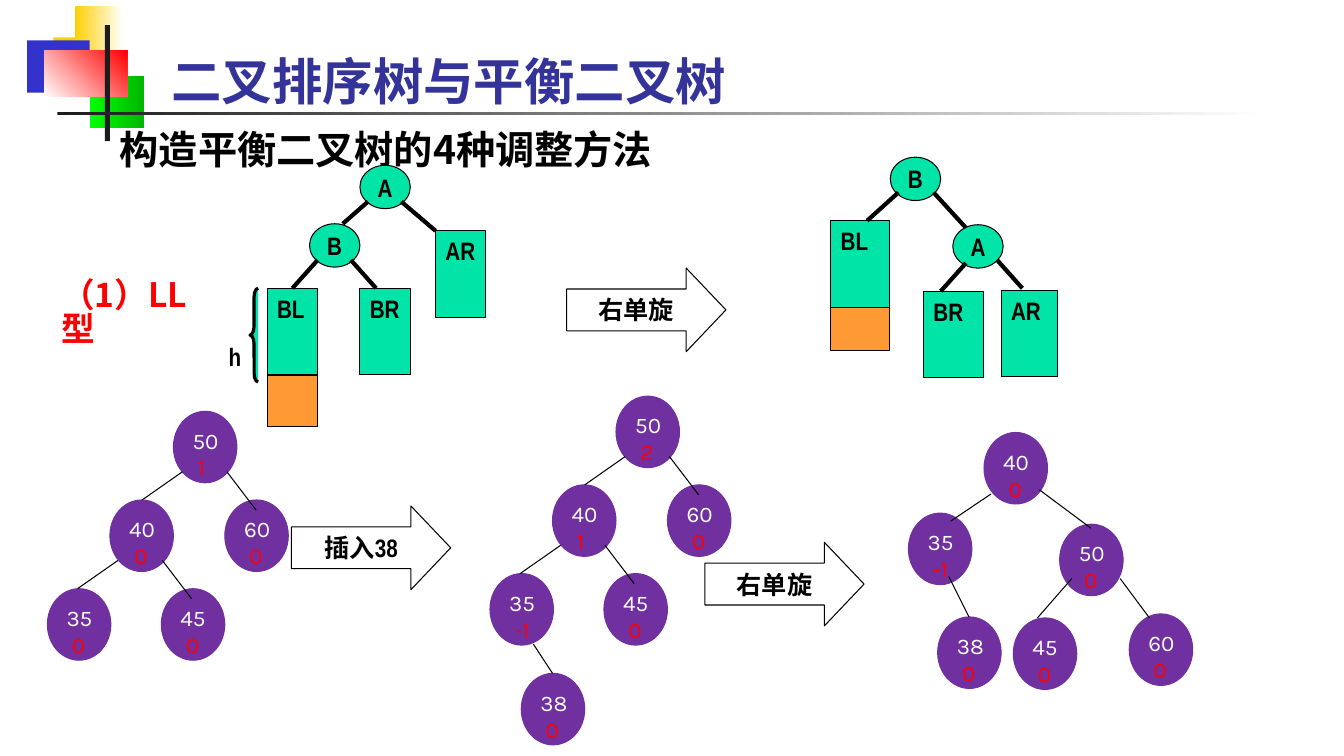
from lxml import etree
from pptx import Presentation
from pptx.dml.color import RGBColor
from pptx.enum.shapes import MSO_CONNECTOR as LINK, MSO_SHAPE as FORM
from pptx.enum.text import MSO_ANCHOR as ANCHOR, PP_ALIGN as ALIGN
from pptx.oxml.ns import qn
from pptx.util import Inches, Pt

BLACK = RGBColor(0x00, 0x00, 0x00)
WHITE = RGBColor(0xFF, 0xFF, 0xFF)
INK = RGBColor(0x1C, 0x1C, 0x1C)
NAVY = RGBColor(0x33, 0x33, 0x99)
BLUE = RGBColor(0x33, 0x33, 0xCC)
GOLD = RGBColor(0xFF, 0xCF, 0x01)
RED = RGBColor(0xFF, 0x00, 0x00)
LIME = RGBColor(0x00, 0xFF, 0x00)
GREEN = RGBColor(0x00, 0xB6, 0x00)
MINT = RGBColor(0x00, 0xE4, 0xA8)
ORANGE = RGBColor(0xFF, 0x99, 0x33)
PURPLE = RGBColor(0x70, 0x30, 0xA0)
NARROW, HAN, KARLA = "Arial Narrow", "Noto Sans CJK SC", "Karla"

# Content: places are left, top, width, height; links are x1, y1, x2, y2
TITLE = "二叉排序树与平衡二叉树"
HEADING = "构造平衡二叉树的4种调整方法"
CASE = "（1）LL型"

# Place, colour, end colour of a gradient, angle
DECOR = [
    ((0.53, 0.37, 0.64, 0.52), GOLD, None, 0),
    ((0.74, 0.06, 0.48, 0.52), GOLD, WHITE, 0),
    ((0.27, 0.4, 0.62, 0.52), BLUE, None, 0),
    ((0.89, 0.75, 0.54, 0.52), LIME, GREEN, 0),
    ((0.44, 0.5, 0.82, 0.46), WHITE, RED, 45),
    ((1.04, 0.25, 0.05, 1.15), INK, None, 0),
    ((0.57, 1.11, 12, 0.03), INK, WHITE, 0),
]

ARROWS = [("右单旋", 5.62, 2.66), ("插入38", 2.89, 5.02), ("右单旋", 6.99, 5.38)]

# Schematic trees before and after the rotation
SCHEMES = [
    {
        "nodes": [("A", 3.57, 1.64), ("B", 3.07, 2.22)],
        "boxes": [("BL", 2.65, 2.86, 0.5), ("AR", 4.32, 2.29, 0.5),
                  ("BR", 3.57, 2.86, 0.5)],
        "links": [(3.65, 2, 3.4, 2.22), (3.98, 2, 4.32, 2.29),
                  (3.15, 2.58, 2.9, 2.86), (3.48, 2.58, 3.73, 2.86)],
        "extra": (2.65, 3.72, 0.5, 0.51),
    },
    {
        "nodes": [("A", 9.45, 2.23), ("B", 8.83, 1.56)],
        "boxes": [("BL", 8.24, 2.19, 0.58), ("AR", 9.93, 2.88, 0.56),
                  ("BR", 9.16, 2.89, 0.6)],
        "links": [(8.91, 1.91, 8.6, 2.19), (9.26, 1.91, 9.58, 2.26),
                  (9.58, 2.61, 9.33, 2.89), (9.89, 2.58, 10.14, 2.86)],
        "extra": (8.24, 3.05, 0.58, 0.43),
    },
]

# Number trees: key, balance factor, left, top
BASE_SPOTS = [(50, 1.72, 4.08), (40, 1.09, 4.96), (60, 2.23, 4.96),
              (35, 0.47, 5.84), (45, 1.6, 5.84)]
BASE_LINKS = [(1.81, 4.68, 1.41, 4.96), (2.25, 4.68, 2.54, 5.06),
              (1.17, 5.56, 0.77, 5.84), (1.61, 5.56, 1.9, 5.94)]
SHIFT_X, SHIFT_Y = 4.39, -0.15


def base(factors, dx=0, dy=0):
    """Five-node tree, moved by dx and dy."""
    nodes = [(key, factor, x + dx, y + dy)
             for (key, x, y), factor in zip(BASE_SPOTS, factors)]
    links = [(a + dx, b + dy, c + dx, d + dy) for a, b, c, d in BASE_LINKS]
    return nodes, links


first = base([1, 0, 0, 0, 0])
second = base([2, 1, 0, -1, 0], SHIFT_X, SHIFT_Y)
second[0].append((38, 0, 5.17, 6.68))
second[1].append((5.29, 6.39, 5.48, 6.68))
third = (
    [(45, 0, 10.05, 6.13), (40, 0, 9.76, 4.29), (60, 0, 11.2, 6.09),
     (35, -1, 9.01, 5.09), (50, 0, 10.51, 5.2), (38, 0, 9.3, 6.12)],
    [(10.63, 5.74, 10.29, 6.13), (11.11, 5.74, 11.4, 6.13),
     (9.83, 4.9, 9.43, 5.17), (10.31, 4.86, 10.82, 5.24),
     (9.41, 5.72, 9.61, 6.12)],
)

deck = Presentation()
deck.slide_width, deck.slide_height = Inches(13.33), Inches(7.5)
slide = deck.slides.add_slide(deck.slide_layouts[5])
page = slide.shapes


def write(shape, *lines, size=18, font=NARROW, colors=(BLACK,), bold=True,
          align=ALIGN.LEFT, anchor=ANCHOR.TOP, wrap=True, space=None):
    """Fill a shape with one paragraph per line, each with its colour."""
    frame = shape.text_frame
    frame.word_wrap, frame.vertical_anchor = wrap, anchor
    for i, (line, color) in enumerate(zip(lines, colors)):
        para = frame.add_paragraph() if i else frame.paragraphs[0]
        para.alignment = align
        para.line_spacing = space
        run = para.add_run()
        run.text = line
        run.font.size, run.font.name, run.font.bold = Pt(size), font, bold
        run.font.color.rgb = color
        east = HAN if font == NARROW else font
        etree.SubElement(run.font._element, qn("a:ea"), typeface=east)


def put(home, form, spot, fill, line=BLACK, weight=0.75):
    shape = home.add_shape(form, *map(Inches, spot))
    shape.shadow.inherit = False
    shape.fill.solid()
    shape.fill.fore_color.rgb = fill
    if line is None:
        shape.line.fill.background()
    else:
        shape.line.color.rgb = line
        shape.line.width = Pt(weight)
    return shape


def link(home, ends, weight):
    line = home.add_connector(LINK.STRAIGHT, *map(Inches, ends))
    line.line.color.rgb = BLACK
    line.line.width = Pt(weight)
    etree.SubElement(line._element.spPr, qn("a:effectLst"))


def label(text, spot, **style):
    box = page.add_textbox(*map(Inches, spot))
    write(box, text, **style)
    return box


# Corner ornament and rule
for spot, color, end, angle in DECOR:
    part = put(page, FORM.RECTANGLE, spot, color, None)
    if end is not None:
        part.fill.gradient()
        part.fill.gradient_angle = angle
        for stop, shade in zip(part.fill.gradient_stops, (color, end)):
            stop.color.rgb = shade

# Title and heading
head = page.title
head.left, head.top, head.width, head.height = map(Inches, (1.6, 0.45, 7.08, 0.7))
write(head, TITLE, size=36, colors=[NAVY], anchor=ANCHOR.MIDDLE)
sub = label(HEADING, (1.09, 0.97, 10.08, 1.29), size=28, font=HAN,
            anchor=ANCHOR.BOTTOM)
sub.text_frame.margin_bottom = Inches(0.55)

# Schematic trees
CENTRED = dict(align=ALIGN.CENTER, anchor=ANCHOR.MIDDLE, wrap=False)
for tree in SCHEMES:
    group = page.add_group_shape().shapes
    for name, x, y in tree["nodes"]:
        write(put(group, FORM.OVAL, (x, y, 0.5, 0.43), MINT), name, **CENTRED)
    for name, x, y, width in tree["boxes"]:
        write(put(group, FORM.RECTANGLE, (x, y, width, 0.86), MINT), name)
    for ends in tree["links"]:
        link(group, ends, 3)
    put(group, FORM.RECTANGLE, tree["extra"], ORANGE)

# Height brace and case name
brace = put(page, FORM.LEFT_BRACE, (2.48, 2.86, 0.08, 0.93), MINT, weight=2.25)
brace.adjustments[0] = 1.083
label("h", (2.17, 3.34, 0.5, 0.5))
label(CASE, (0.51, 2.73, 1.72, 0.5), size=24, font=HAN, colors=[RED], space=0.85)

# Number trees
for nodes, links in (first, second, third):
    group = page.add_group_shape().shapes
    for key, factor, x, y in nodes:
        node = put(group, FORM.OVAL, (x, y, 0.63, 0.71), PURPLE, PURPLE)
        write(node, str(key), f" {factor}", size=16, font=KARLA,
              colors=[WHITE, RED], bold=False, wrap=False)
    for ends in links:
        link(group, ends, 0.75)

# Step arrows
for text, x, y in ARROWS:
    arrow = put(page, FORM.RIGHT_ARROW, (x, y, 1.58, 0.83), WHITE)
    arrow.adjustments[1] = 0.475
    write(arrow, text, **CENTRED)

deck.save("out.pptx")
